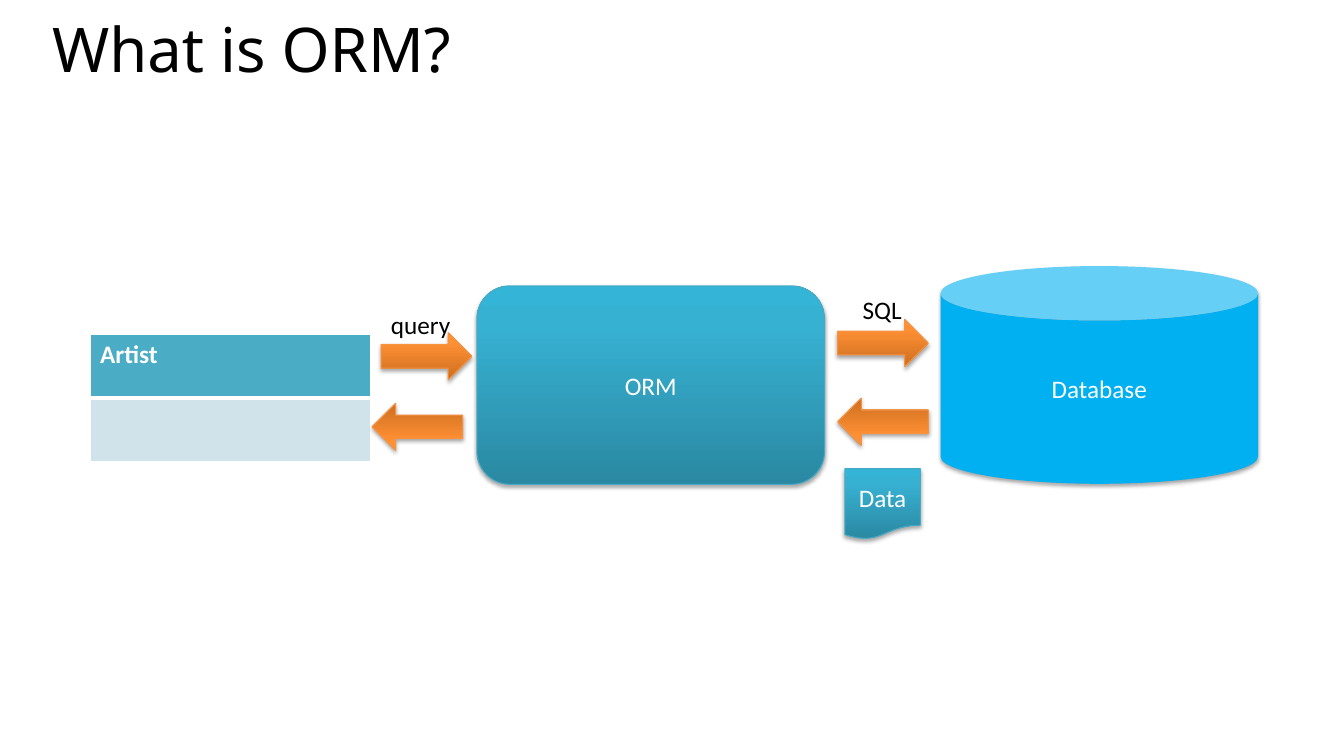
from copy import deepcopy

from lxml.etree import SubElement
from pptx import Presentation
from pptx.dml.color import RGBColor
from pptx.enum.shapes import MSO_SHAPE
from pptx.enum.text import MSO_ANCHOR, MSO_AUTO_SIZE, PP_ALIGN
from pptx.oxml.ns import qn
from pptx.util import Pt

WHITE, BLACK = "FFFFFF", "000000"
TEAL = {"stops": [(0, "2A88A2"), (0.8, "37B1D2"), (1, "34B4D6")], "line": "46AAC5"}
ORANGE = {"stops": [(0, "CC6E20"), (0.8, "FF9034"), (1, "FF9136")], "line": "F69240"}
LABEL = {"name": "Calibri", "size": Pt(18)}
TITLE = {"name": "Noto Sans", "size": Pt(44)}
ARROW_SIZE = (64.8, 33.8)


def color(value):
    """Turn a hex string into a colour."""
    return RGBColor.from_string(value)


def points(*lengths):
    """Turn numbers into lengths in points."""
    return [Pt(length) for length in lengths]


def write(frame, text, font, ink, align=PP_ALIGN.LEFT):
    """Write one formatted paragraph and return it."""
    para = frame.paragraphs[0]
    para.alignment = align
    span = para.add_run()
    span.text = text
    for name, value in font.items():
        setattr(span.font, name, value)
    span.font.color.rgb = color(ink)
    return para


def add_shadow(shape):
    """Give a shape a soft shadow that falls straight down."""
    shape.shadow.inherit = False
    effects = shape._element.spPr.find(qn("a:effectLst"))
    shadow = SubElement(effects, qn("a:outerShdw"), blurRad=str(Pt(3.1)),
                        dist=str(Pt(1.8)), dir="5400000", rotWithShape="0")
    ink = SubElement(shadow, qn("a:srgbClr"), val=BLACK)
    SubElement(ink, qn("a:alpha"), val="35000")


def fill_gradient(shape, theme):
    """Fill a shape with a three-stop upward gradient and a thin outline."""
    shape.fill.gradient()
    shape.fill.gradient_angle = 90
    stop_list = shape._element.spPr.find(qn("a:gradFill")).find(qn("a:gsLst"))
    stop_list.append(deepcopy(stop_list[-1]))
    for stop, (position, value) in zip(shape.fill.gradient_stops, theme["stops"]):
        stop.position = position
        stop.color.rgb = color(value)
    shape.line.color.rgb = color(theme["line"])
    shape.line.width = Pt(0.75)


def add_node(slide, kind, bounds, fill, text=None):
    """Add a shadowed shape, with a flat or gradient fill and a centred label."""
    shape = slide.shapes.add_shape(kind, *points(*bounds))
    if isinstance(fill, str):
        shape.fill.solid()
        shape.fill.fore_color.rgb = color(fill)
        shape.line.fill.background()
    else:
        fill_gradient(shape, fill)
    add_shadow(shape)
    if text:
        shape.text_frame.vertical_anchor = MSO_ANCHOR.MIDDLE
        write(shape.text_frame, text, LABEL, WHITE, PP_ALIGN.CENTER)
    return shape


def add_label(slide, text, bounds):
    """Add a plain caption above an arrow."""
    frame = slide.shapes.add_textbox(*points(*bounds)).text_frame
    frame.word_wrap = False
    frame.auto_size = MSO_AUTO_SIZE.SHAPE_TO_FIT_TEXT
    write(frame, text, LABEL, BLACK)


def set_borders(cell, widths):
    """Draw white borders; widths maps a border tag to points."""
    properties = cell._tc.get_or_add_tcPr()
    for index, (tag, width) in enumerate(widths.items()):
        border = SubElement(properties, qn(tag), w=str(Pt(width)))
        fill = SubElement(border, qn("a:solidFill"))
        SubElement(fill, qn("a:srgbClr"), val=WHITE)
        properties.insert(index, border)


def add_entity_table(slide, bounds, rows):
    """Add a one-column table from (text, fill, top, bottom border) rows."""
    table = slide.shapes.add_table(len(rows), 1, *points(*bounds)).table
    for index, (text, fill, top, bottom) in enumerate(rows):
        cell = table.cell(index, 0)
        cell.fill.solid()
        cell.fill.fore_color.rgb = color(fill)
        set_borders(cell, {"a:lnL": 1, "a:lnR": 1, "a:lnT": top, "a:lnB": bottom})
        if text:
            write(cell.text_frame, text, {**LABEL, "bold": True}, WHITE)


def add_title(slide, text, bounds):
    """Place and format the title placeholder."""
    title = slide.shapes.title
    for name, value in zip(("left", "top", "width", "height"), points(*bounds)):
        setattr(title, name, value)
    title.text_frame.vertical_anchor = MSO_ANCHOR.TOP
    write(title.text_frame, text, TITLE, BLACK).line_spacing = 0.8


def main():
    """Build the slide and save the deck."""
    deck = Presentation()
    deck.slide_width, deck.slide_height = points(960, 540)
    slide = deck.slides.add_slide(deck.slide_layouts[5])

    add_title(slide, "What is ORM?", (30, 14.4, 907.2, 83.5))
    add_node(slide, MSO_SHAPE.CAN, (671.8, 190.1, 226.8, 155.5), "00B0F0", "Database")
    add_entity_table(slide, (64.4, 239, 200.2, 90.7),
                     [("Artist", "4BACC6", 1, 3), (None, "D0E3EA", 3, 1)])
    add_node(slide, MSO_SHAPE.ROUNDED_RECTANGLE, (340.6, 204.2, 248.4, 141.8), TEAL, "ORM")
    for left, top, rotation in [(272.2, 237.6, 0), (265.7, 288, 180),
                                (598.3, 284.4, 180), (598.3, 228.2, 0)]:
        arrow = add_node(slide, MSO_SHAPE.RIGHT_ARROW, (left, top, *ARROW_SIZE), ORANGE)
        arrow.rotation = rotation
    add_label(slide, "SQL", (609.1, 206.6, 42.5, 28.8))
    add_node(slide, MSO_SHAPE.FLOWCHART_DOCUMENT, (603.4, 334.8, 54, 50.4), TEAL, "Data")
    add_label(slide, "query", (272.2, 217.4, 57.6, 28.8))

    deck.save("out.pptx")


main()
